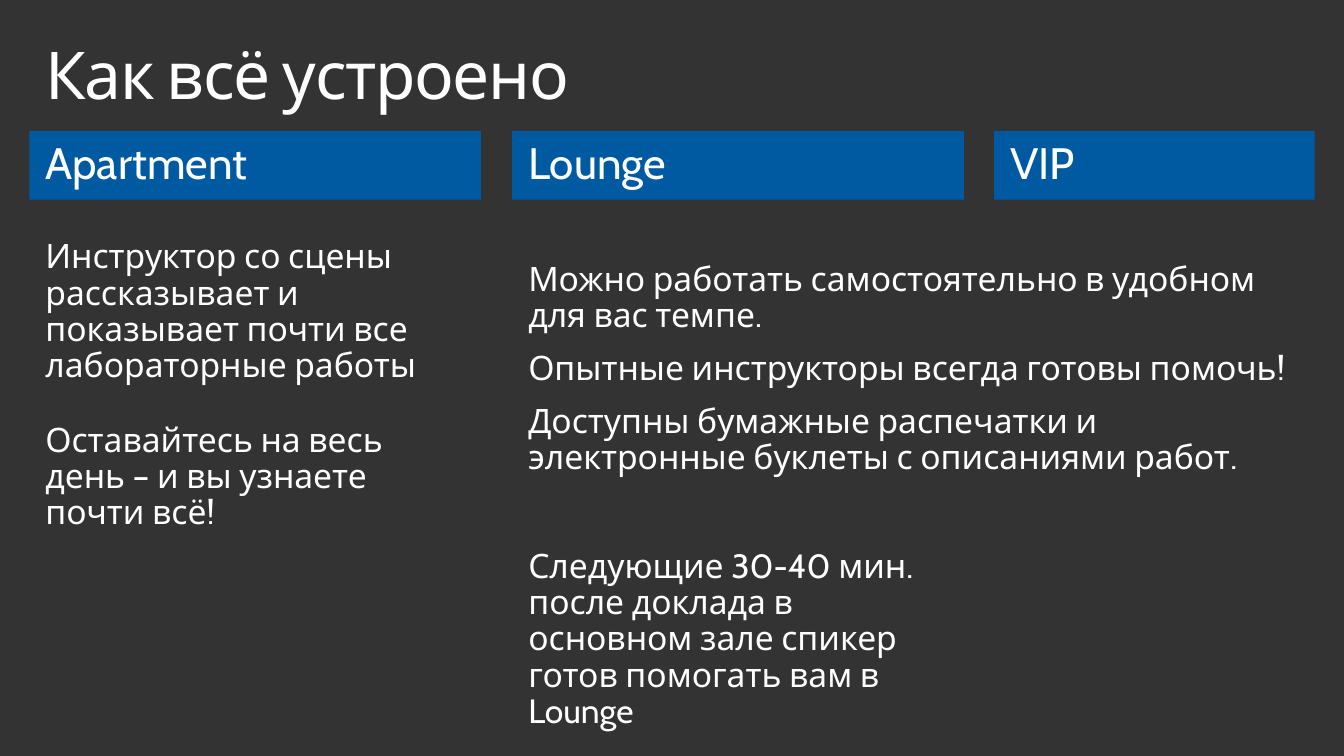
from pptx import Presentation
from pptx.dml.color import RGBColor
from pptx.enum.shapes import MSO_SHAPE
from pptx.enum.text import MSO_ANCHOR, PP_ALIGN
from pptx.util import Inches, Pt

RECT = MSO_SHAPE.RECTANGLE
TOP = MSO_ANCHOR.TOP
LEFT = PP_ALIGN.LEFT
COLORS = {"background": "333333", "header": "005AA1", "text": "FFFFFF"}
FONT = "Cabin"
COL_1, COL_2, COL_3 = 0.29, 5.08, 9.86
COL_WIDTH = 4.48


def rgb(name):
    return RGBColor.from_string(COLORS[name])


def write(sp, paragraphs, size):
    tf = sp.text_frame
    tf.word_wrap = True
    tf.vertical_anchor = TOP
    tf.margin_left = tf.margin_right = Inches(0.16)
    tf.margin_top = tf.margin_bottom = Inches(0.1)
    for i, text in enumerate(paragraphs):
        p = tf.add_paragraph() if i else tf.paragraphs[0]
        p.text = text
        p.alignment = LEFT
        p.line_spacing = 0.9
        p.space_before = Pt(12 if i else 0)
        p.font.name = FONT
        p.font.size = Pt(size)
        p.font.color.rgb = rgb("text")


prs = Presentation()
prs.slide_width = Inches(13.33)
prs.slide_height = Inches(7.5)
s = prs.slides.add_slide(prs.slide_layouts[5])
s.background.fill.solid()
s.background.fill.fore_color.rgb = rgb("background")

title = s.shapes.title
title.left, title.top = Inches(COL_1), Inches(0.32)
title.width, title.height = Inches(12.75), Inches(0.98)
write(title, ["Как всё устроено"], 47)
title.text_frame.paragraphs[0].runs[0].font._element.set("spc", "-100")

headers = [
    ("Apartment", COL_1, COL_WIDTH),
    ("Lounge", COL_2, COL_WIDTH),
    ("VIP", COL_3, 3.18),
]
for text, left, width in headers:
    sp = s.shapes.add_shape(RECT, Inches(left), Inches(1.3), Inches(width), Inches(0.68))
    sp.shadow.inherit = False
    sp.fill.solid()
    sp.fill.fore_color.rgb = rgb("header")
    sp.line.fill.background()
    write(sp, [text], 31.4)

notes = [
    (COL_1, 2.28, COL_WIDTH, 1.66, [
        "Инструктор со сцены рассказывает и показывает почти все лабораторные работы",
    ]),
    (COL_1, 4.1, COL_WIDTH, 0.93, [
        "Оставайтесь на весь день – и вы узнаете почти всё!",
    ]),
    (COL_2, 2.5, 7.96, 2.36, [
        "Можно работать самостоятельно в удобном для вас темпе.",
        "Опытные инструкторы всегда готовы помочь!",
        "Доступны бумажные распечатки и электронные буклеты с описаниями работ.",
    ]),
    (COL_2, 5.35, COL_WIDTH, 1.66, [
        "Следующие 30-40 мин. после доклада в основном зале спикер готов помогать вам в Lounge",
    ]),
]
for left, top, width, height, paragraphs in notes:
    sp = s.shapes.add_textbox(Inches(left), Inches(top), Inches(width), Inches(height))
    write(sp, paragraphs, 24)

prs.save("out.pptx")
